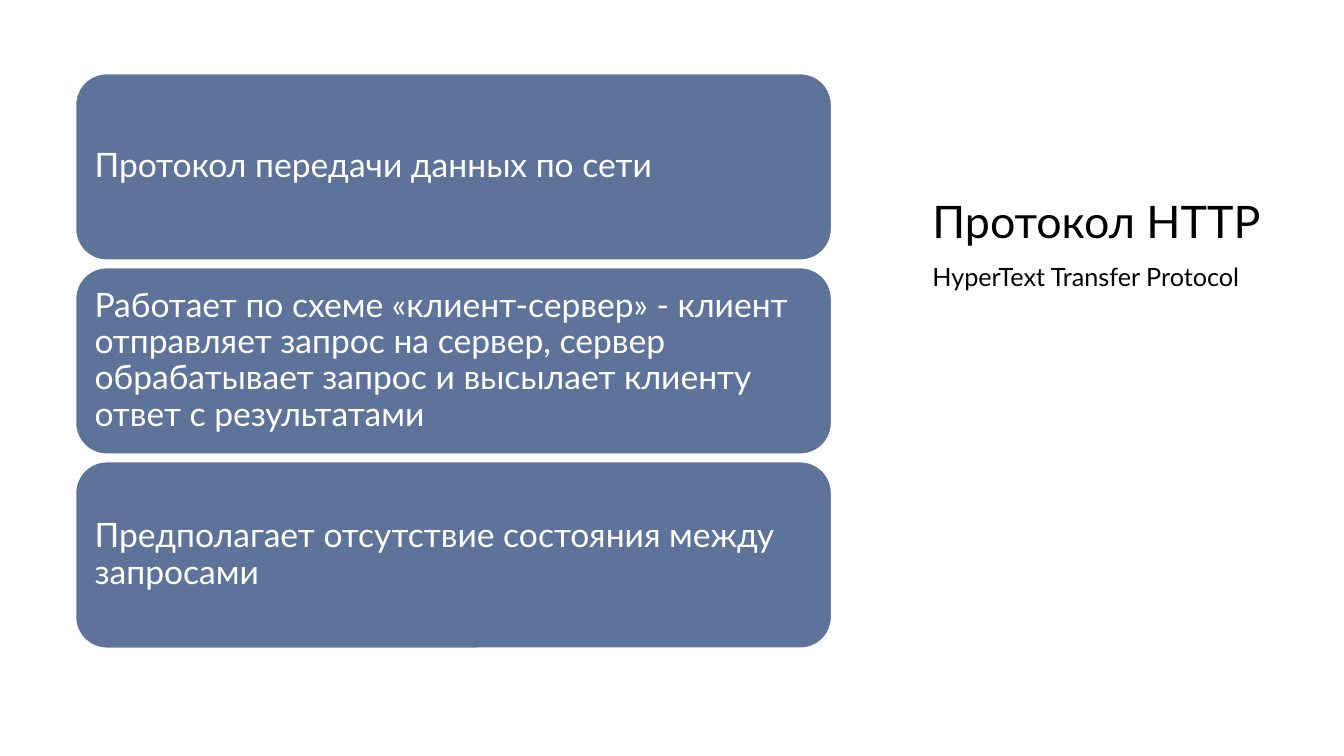
"""Build the HTTP protocol slide: three statement cards beside a heading."""
from pptx import Presentation
from pptx.dml.color import RGBColor
from pptx.enum import shapes, text
from pptx.util import Pt

FONT = "Lato"
WHITE, BLACK, CARD_FILL = "FFFFFF", "000000", "5D739A"

STATEMENTS = [
    "Протокол передачи данных по сети",
    "Работает по схеме «клиент-сервер» - клиент отправляет запрос на сервер, "
    "сервер обрабатывает запрос и высылает клиенту ответ с результатами",
    "Предполагает отсутствие состояния между запросами",
]
TITLE = "Протокол HTTP"
SUBTITLE = "HyperText Transfer Protocol"

CARD_LEFT, CARD_TOP, CARD_WIDTH, CARD_HEIGHT = 54, 52.6, 540, 133.2
CARD_GAP = 5.4
HEADING_LEFT, HEADING_WIDTH = 666, 249.1


def color(value):
    return RGBColor.from_string(value)


def write(shape, content, size, ink, anchor, inset, line_spacing, space_before=0):
    frame = shape.text_frame
    frame.word_wrap = True
    frame.vertical_anchor = anchor
    frame.margin_left = frame.margin_right = Pt(inset)
    frame.margin_top = frame.margin_bottom = Pt(inset)
    paragraph = frame.paragraphs[0]
    paragraph.alignment = text.PP_ALIGN.LEFT
    paragraph.line_spacing = line_spacing
    paragraph.space_before = Pt(space_before)
    run = paragraph.add_run()
    run.text = content
    run.font.name = FONT
    run.font.size = Pt(size)
    run.font.color.rgb = color(ink)


def add_card(slide, index, statement):
    top = CARD_TOP + index * (CARD_HEIGHT + CARD_GAP)
    card = slide.shapes.add_shape(
        shapes.MSO_SHAPE.ROUNDED_RECTANGLE,
        Pt(CARD_LEFT), Pt(top), Pt(CARD_WIDTH), Pt(CARD_HEIGHT))
    card.shadow.inherit = False
    card.fill.solid()
    card.fill.fore_color.rgb = color(CARD_FILL)
    card.line.color.rgb = color(WHITE)
    card.line.width = Pt(1)
    write(card, statement, 24, WHITE, text.MSO_ANCHOR.MIDDLE, 7.2, 0.9)


def add_heading(slide, top, height, content, size, anchor, line_spacing, space_before):
    box = slide.shapes.add_textbox(
        Pt(HEADING_LEFT), Pt(top), Pt(HEADING_WIDTH), Pt(height))
    write(box, content, size, BLACK, anchor, 0, line_spacing, space_before)


presentation = Presentation()
presentation.slide_width, presentation.slide_height = Pt(960), Pt(540)
slide = presentation.slides.add_slide(presentation.slide_layouts[6])

add_heading(slide, 47.5, 129.6, TITLE, 32, text.MSO_ANCHOR.BOTTOM, 1.0, 0)
add_heading(slide, 184.3, 283.7, SUBTITLE, 18, text.MSO_ANCHOR.TOP, 1.1, 8)
for index, statement in enumerate(STATEMENTS):
    add_card(slide, index, statement)

presentation.save("out.pptx")
